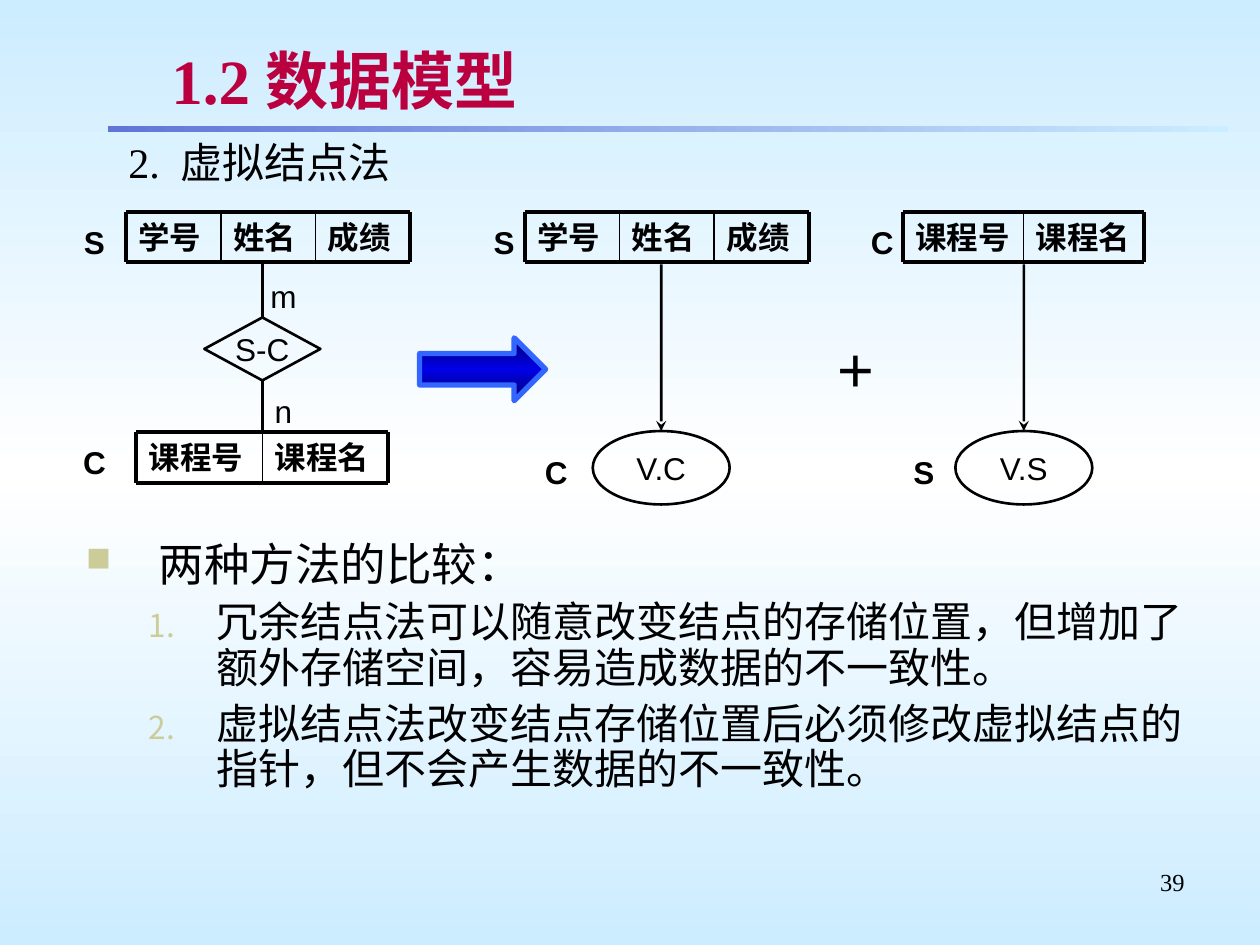
"""Builds the slide on the virtual node method of the data model chapter."""
from lxml import etree
from pptx import Presentation
from pptx import util as u
from pptx.dml import color
from pptx.enum import shapes, text
from pptx.oxml import ns

HUES = {"ink": "000000", "title": "BA003E", "shade": "C0C0C0", "sky": "CCECFF",
        "white": "FFFFFF", "rule": "5F76D7", "dark": "00006B", "blue": "0000E8",
        "edge": "3366FF", "mark": "CCCC99"}
SHAPE = shapes.MSO_SHAPE
ALIGN = text.PP_ALIGN
MID = text.MSO_ANCHOR.MIDDLE
SANS, SERIF = "Arial", "Times New Roman"


def rgb(hue):
    return color.RGBColor.from_string(HUES[hue])


def add(root, tag, **attrs):
    return etree.SubElement(root, ns.qn(tag), attrs)


def apply(item, form):
    for key, val in form.items():
        setattr(item, key, val)


class Deck:
    """Holds the style and the current slide."""

    def __init__(self):
        self.prs = Presentation()
        self.prs.slide_width, self.prs.slide_height = u.Cm(25.4), u.Cm(19.05)
        self.slide = self.prs.slides.add_slide(self.prs.slide_layouts[5])
        self.items = self.slide.shapes

    def blend(self, fill, root, hues, angle):
        fill.gradient()
        fill.gradient_angle = angle
        stops = root.find(".//" + ns.qn("a:gsLst"))
        for old in list(stops):
            stops.remove(old)
        for i, hue in enumerate(hues):
            stop = add(stops, "a:gs", pos=str(100000 * i // (len(hues) - 1)))
            add(stop, "a:srgbClr", val=HUES[hue])

    def fill_in(self, para, words, size, face=SANS, bold=False, hue="ink", **form):
        run = para.add_run()
        run.text = words
        apply(run.font, {"size": u.Pt(size), "name": face, "bold": bold})
        run.font.color.rgb = rgb(hue)
        apply(para, form)
        return run

    def title(self, words, box):
        item = self.items.title
        apply(item, dict(zip(("left", "top", "width", "height"), map(u.Cm, box))))
        apply(item.text_frame, {"vertical_anchor": MID, "word_wrap": True,
                                "auto_size": text.MSO_AUTO_SIZE.NONE})
        run = self.fill_in(item.text_frame.paragraphs[0], words, 36, SERIF, True,
                           "title", alignment=ALIGN.LEFT)
        glow = etree.Element(ns.qn("a:effectLst"))
        cast = add(glow, "a:outerShdw", dist="35921", dir="2700000")
        add(cast, "a:srgbClr", val=HUES["shade"])
        run._r.find(".//" + ns.qn("a:solidFill")).addnext(glow)

    def text(self, words, box, size=18, face=SANS, bold=False, wrap=True, **form):
        frame = self.items.add_textbox(*map(u.Cm, box)).text_frame
        frame.word_wrap = wrap
        if words:
            self.fill_in(frame.paragraphs[0], words, size, face, bold, **form)
        return frame

    def label(self, words, left, top, bold=True):
        frame = self.text(words, (left, top, 1.27, 0.84), bold=bold, wrap=False,
                          alignment=ALIGN.CENTER)
        frame.vertical_anchor = MID

    def indent(self, para, left, hang):
        props = para._p.get_or_add_pPr()
        props.set("marL", str(u.Cm(left)))
        props.set("indent", str(-u.Cm(hang)))
        return props

    def bullet(self, para, left, hang, tag, **attrs):
        props = self.indent(para, left, hang)
        add(add(props, "a:buClr"), "a:srgbClr", val=HUES["mark"])
        add(props, "a:buSzPct", val="75000")
        add(props, tag, **attrs)

    def shape(self, kind, box, words="", line="ink", width=1.5):
        item = self.items.add_shape(kind, *map(u.Cm, box))
        item.shadow.inherit = False
        item.fill.background()
        if line:
            item.line.color.rgb = rgb(line)
            item.line.width = u.Pt(width)
        else:
            item.line.fill.background()
        if words:
            frame = item.text_frame
            apply(frame, {"word_wrap": False, "vertical_anchor": MID})
            self.fill_in(frame.paragraphs[0], words, 18, alignment=ALIGN.CENTER)
        return item

    def line(self, x1, y1, x2, y2, width=1.5, start=None, end=None, head=False):
        item = self.items.add_connector(shapes.MSO_CONNECTOR.STRAIGHT,
                                        *map(u.Cm, (x1, y1, x2, y2)))
        item.line.color.rgb = rgb("ink")
        item.line.width = u.Pt(width)
        if head:
            add(item.element.find(".//" + ns.qn("a:ln")), "a:tailEnd", type="stealth")
        add(item.element.spPr, "a:effectLst")
        if start:
            item.begin_connect(start, 2)
        if end:
            item.end_connect(end, 0)

    def record(self, names, left, top, cell):
        high, count = 1.02, len(names)
        for i, name in enumerate(names):
            self.text(name, (left + i * cell, top, cell, high), 18, SERIF, True)
        for y in (top, top + high):
            self.line(left, y, left + count * cell, y, 2.25)
        for i in range(count + 1):
            x = left + i * cell
            self.line(x, top, x, top + high, 2.25 if i in (0, count) else 1)

    def link(self, words, mid):
        node = self.shape(SHAPE.OVAL, (mid - 1.38, 8.69, 2.76, 1.48), words)
        self.line(mid, 5.33, mid, 8.69, end=node, head=True)


def main():
    deck = Deck()
    back = deck.slide.background.fill
    deck.blend(back, deck.slide.element, ("sky", "white", "sky"), 90)
    rule = deck.shape(SHAPE.RECTANGLE, (2.18, 2.54, 22.58, 0.13), line=None)
    deck.blend(rule.fill, rule.element, ("rule", "sky"), 0)
    deck.title("1.2 数据模型", (3.2, 0.74, 20.93, 1.7))
    deck.text("39", (18.2, 17.35, 5.93, 1.32), 14, SERIF, alignment=ALIGN.RIGHT)
    head = deck.text("2.  虚拟结点法", (1.07, 2.74, 23.5, 1.3), 24, SERIF,
                     line_spacing=0.9)
    deck.indent(head.paragraphs[0], 2.64, 1.37)

    arrow = deck.shape(SHAPE.RIGHT_ARROW, (8.46, 6.81, 2.54, 1.27),
                       line="edge", width=3)
    deck.blend(arrow.fill, arrow.element, ("dark", "blue", "dark"), 90)
    plus = deck.text("+", (16.51, 6.78, 1.47, 1.27), 36, wrap=False,
                     alignment=ALIGN.CENTER)
    plus.vertical_anchor = MID

    student, course = ("学号", "姓名", "成绩"), ("课程号", "课程名")
    deck.record(student, 2.54, 4.27, 1.91)
    deck.record(course, 2.75, 8.71, 2.54)
    deck.record(student, 10.58, 4.27, 1.91)
    deck.record(course, 18.2, 4.27, 2.43)
    node = deck.shape(SHAPE.DIAMOND, (4.12, 6.4, 2.34, 1.27), "S-C")
    deck.line(5.29, 5.33, 5.29, 6.4, end=node)
    deck.line(5.29, 7.67, 5.29, 8.71, start=node)
    deck.link("V.C", 13.33)
    deck.link("V.S", 20.64)
    for words, top in (("m", 5.54), ("n", 7.87)):
        deck.label(words, 5.08, top, False)
    for words, left, top in (("S", 1.27, 4.45), ("C", 1.27, 8.89),
                             ("S", 9.53, 4.45), ("C", 10.58, 9.1),
                             ("C", 17.15, 4.45), ("S", 17.99, 9.1)):
        deck.label(words, left, top)

    body = deck.text("", (1.48, 10.8, 23.28, 5.72))
    para = body.paragraphs[0]
    deck.bullet(para, 1.47, 1.47, "a:buChar", char="■")
    deck.fill_in(para, "两种方法的比较：", 26, line_spacing=0.9)
    for words in ("冗余结点法可以随意改变结点的存储位置，但增加了额外存储空间，容易造成数据的不一致性。",
                  "虚拟结点法改变结点存储位置后必须修改虚拟结点的指针，但不会产生数据的不一致性。"):
        para = body.add_paragraph()
        deck.bullet(para, 2.64, 1.37, "a:buAutoNum", type="arabicPeriod")
        deck.fill_in(para, words, 24, level=1, line_spacing=0.9,
                     space_before=u.Pt(6))
    deck.prs.save("out.pptx")


if __name__ == "__main__":
    main()
